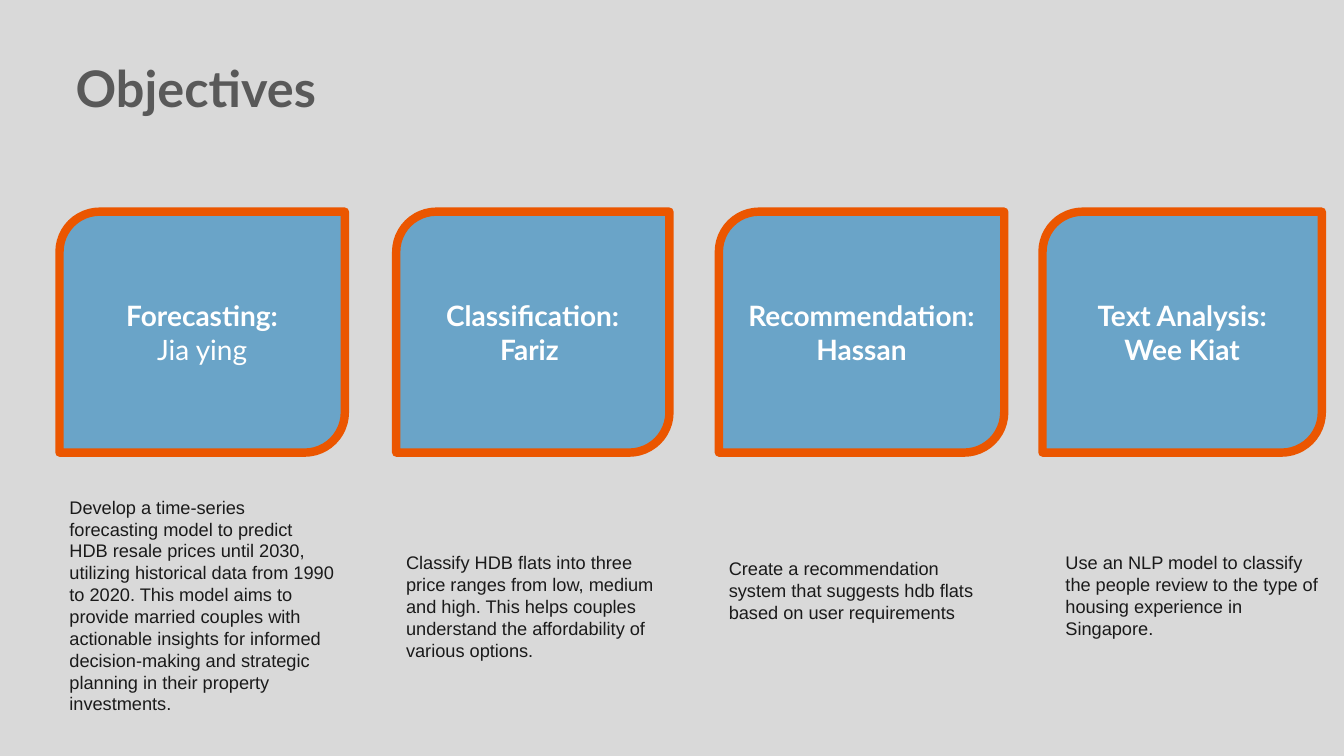
from dataclasses import dataclass

from pptx import Presentation
from pptx.dml.color import RGBColor
from pptx.enum.shapes import MSO_SHAPE
from pptx.enum.text import MSO_ANCHOR, MSO_AUTO_SIZE, PP_ALIGN
from pptx.util import Inches, Pt

CARD_SHAPE = MSO_SHAPE.ROUND_2_DIAG_RECTANGLE
MIDDLE, TOP = MSO_ANCHOR.MIDDLE, MSO_ANCHOR.TOP
CENTER, LEFT = PP_ALIGN.CENTER, PP_ALIGN.LEFT
GROW, FIXED = MSO_AUTO_SIZE.SHAPE_TO_FIT_TEXT, MSO_AUTO_SIZE.NONE

PAGE_WIDTH, PAGE_HEIGHT = Inches(13.33), Inches(7.5)
BACKGROUND, TITLE_GREY, TEXT_DARK = "D9D9D9", "595959", "1A1A1A"
CARD_BLUE, CARD_ORANGE, WHITE = "6AA4C8", "EB5600", "FFFFFF"

# Percent of the slide's width or height
CARD_TOP, CARD_HEIGHT = 28, 31.87
NOTE_WIDTH = 21.23


@dataclass(frozen=True)
class Objective:
    """One column: a card and the description below it, in percent of the slide."""
    topic: str
    owner: str
    owner_bold: bool
    card_left: float
    card_width: float
    note: str
    note_left: float
    note_top: float
    note_height: float


OBJECTIVES = [
    Objective("Forecasting:", "Jia ying", False, 4.43, 21.23,
              "Develop a time-series forecasting model to predict HDB resale prices "
              "until 2030, utilizing historical data from 1990 to 2020. This model aims "
              "to provide married couples with actionable insights for informed "
              "decision-making and strategic planning in their property investments.",
              4.43, 64.27, 31.87),
    Objective("Classification:", "Fariz ", True, 29.48, 20.33,
              "Classify HDB flats into three price ranges from low, medium and high. "
              "This helps couples understand the affordability of various options.",
              29.48, 71.6, 17.33),
    Objective("Recommendation:", "Hassan", True, 53.49, 21.23,
              "Create a recommendation system that suggests hdb flats based on user "
              "requirements",
              53.49, 72.4, 14.8),
    Objective("Text Analysis:", "Wee Kiat", True, 77.57, 20.78,
              "Use an NLP model to classify the people review to the type of housing "
              "experience in Singapore.",
              78.54, 71.6, 14.4),
]


def color(value: str) -> RGBColor:
    return RGBColor.from_string(value)


def area(left: float, top: float, width: float, height: float) -> tuple[int, ...]:
    """Turn percentages of the slide into lengths."""
    return (int(PAGE_WIDTH * left / 100), int(PAGE_HEIGHT * top / 100),
            int(PAGE_WIDTH * width / 100), int(PAGE_HEIGHT * height / 100))


def set_font(font, name: str, size: int, value: str) -> None:
    font.name, font.size = name, Pt(size)
    font.color.rgb = color(value)


def set_frame(frame, anchor, auto_size) -> None:
    frame.word_wrap = True
    frame.vertical_anchor = anchor
    frame.auto_size = auto_size
    frame.margin_left = frame.margin_right = Inches(0.1)
    frame.margin_top = frame.margin_bottom = Inches(0.1)


def add_title(page, text: str) -> None:
    title = page.shapes.title
    title.left, title.top, title.width, title.height = area(4.88, 6.27, 35.11, 9.2)
    set_frame(title.text_frame, TOP, FIXED)
    para = title.text_frame.paragraphs[0]
    para.text = text
    para.alignment = LEFT
    set_font(para.font, "Lato", 36, TITLE_GREY)
    para.font.bold = True


def add_card(page, objective: Objective) -> None:
    card = page.shapes.add_shape(
        CARD_SHAPE,
        *area(objective.card_left, CARD_TOP, objective.card_width, CARD_HEIGHT))
    card.adjustments[0] = 1 / 6
    card.shadow.inherit = False
    card.fill.solid()
    card.fill.fore_color.rgb = color(CARD_BLUE)
    card.line.color.rgb = color(CARD_ORANGE)
    card.line.width = Pt(6)
    set_frame(card.text_frame, MIDDLE, FIXED)
    para = card.text_frame.paragraphs[0]
    para.alignment = CENTER
    set_font(para.font, "Lato", 20, WHITE)
    topic = para.add_run()
    topic.text = objective.topic
    topic.font.bold = True
    para.add_line_break()
    owner = para.add_run()
    owner.text = objective.owner
    owner.font.bold = objective.owner_bold


def add_note(page, objective: Objective) -> None:
    box = page.shapes.add_textbox(
        *area(objective.note_left, objective.note_top, NOTE_WIDTH, objective.note_height))
    set_frame(box.text_frame, TOP, GROW)
    para = box.text_frame.paragraphs[0]
    para.text = objective.note
    set_font(para.font, "Arial", 13, TEXT_DARK)


def main() -> None:
    deck = Presentation()
    deck.slide_width, deck.slide_height = PAGE_WIDTH, PAGE_HEIGHT
    page = deck.slides.add_slide(deck.slide_layouts.get_by_name("Title Only"))
    page.background.fill.solid()
    page.background.fill.fore_color.rgb = color(BACKGROUND)
    add_title(page, "Objectives")
    for objective in OBJECTIVES:
        add_card(page, objective)
        add_note(page, objective)
    deck.save("out.pptx")


if __name__ == "__main__":
    main()
